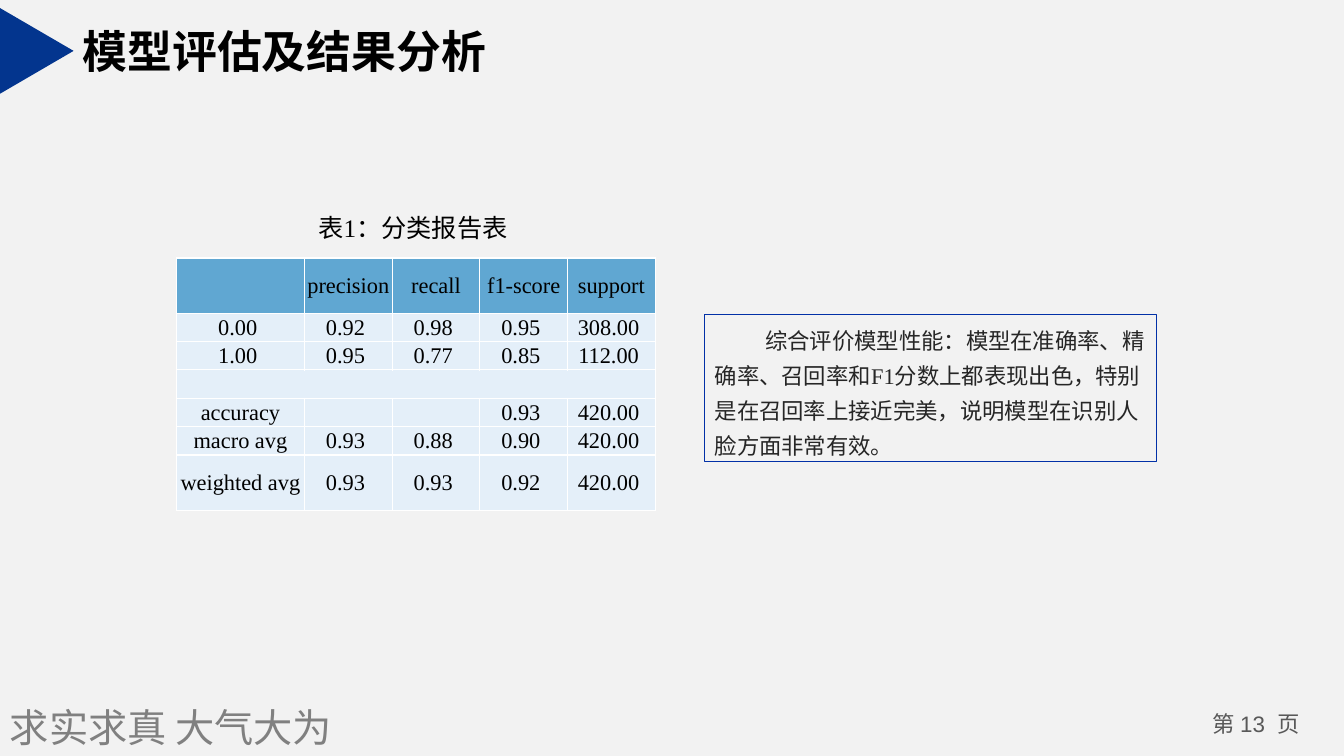
import pptx
import pptx.dml.color
import pptx.enum.shapes
import pptx.enum.text
import pptx.oxml
import pptx.oxml.ns
import pptx.util

Inches, Pt = pptx.util.Inches, pptx.util.Pt
ALIGN, ANCHOR = pptx.enum.text.PP_ALIGN, pptx.enum.text.MSO_ANCHOR

TITLE = "模型评估及结果分析"
CAPTION = "表1：分类报告表"
MOTTO = "求实求真 大气大为"
PAGE = "第 13  页"
COMMENT = ("综合评价模型性能：模型在准确率、精确率、召回率和F1分数上都表现出色，"
           "特别是在召回率上接近完美，说明模型在识别人脸方面非常有效。")
REPORT = [
    ("", "precision ", "recall", "f1-score", "support"),
    ("0.00 ", 0.92, 0.98, 0.95, 308),
    ("1.00 ", 0.95, 0.77, 0.85, 112),
    ("", "", "", "", ""),
    ("accuracy", "", "", 0.93, 420),
    ("macro avg", 0.93, 0.88, 0.90, 420),
    ("weighted avg", 0.93, 0.93, 0.92, 420),
]
GAP_ROW = 3
COL_WIDTHS = [1.27] + [0.87] * 4
ROW_HEIGHTS = [0.55] + [0.28] * 5 + [0.55]

COLORS = {
    "background": "F2F2F2", "triangle": "03358E", "frame": "0231A7",
    "header": "60A7D2", "body": "E4EFF9", "border": "FFFFFF",
    "black": "000000", "comment": "262626", "page": "595959", "motto": "808080",
}
CJK, SANS, SERIF = "Noto Sans CJK SC", "Arial", "Times New Roman"


def rgb(name):
    return pptx.dml.color.RGBColor.from_string(COLORS[name])


def add_xml(parent, xml):
    ns = pptx.oxml.ns.nsdecls("a")
    parent.append(pptx.oxml.parse_xml(xml.replace("/>", f" {ns}/>", 1)
                                      if xml.endswith("/>") and xml.count("<") == 1
                                      else xml.replace(">", f" {ns}>", 1)))


def write(tf, text, size=16, color="black", font=SERIF, bold=False,
          align=ALIGN.LEFT, anchor=ANCHOR.MIDDLE, wrap=True):
    tf.word_wrap = wrap
    tf.auto_size = pptx.enum.text.MSO_AUTO_SIZE.NONE
    tf.vertical_anchor = anchor
    p = tf.paragraphs[0]
    p.alignment = align
    r = p.add_run()
    r.text = text
    r.font.size, r.font.bold, r.font.name = Pt(size), bold, font
    r.font.color.rgb = rgb(color)
    add_xml(r.font._element, f'<a:ea typeface="{CJK}"/>')
    return p


def add_text(s, box, text, **fmt):
    sp = s.shapes.add_textbox(*map(Inches, box))
    write(sp.text_frame, text, **fmt)


def format_cell(cell, value, fill):
    cell.margin_left = cell.margin_right = cell.margin_top = Inches(0.01)
    cell.margin_bottom = 0
    cell.vertical_anchor = ANCHOR.MIDDLE
    p = cell.text_frame.paragraphs[0]
    p.alignment = ALIGN.CENTER
    if value == "":
        add_xml(p._p, '<a:endParaRPr sz="1600"/>')
    else:
        r = p.add_run()
        r.text = value if isinstance(value, str) else f"{value:.2f} "
        r.font.size, r.font.name = Pt(16), SERIF
        r.font.color.rgb = rgb("black")
    for side in ("lnL", "lnR", "lnT", "lnB"):
        add_xml(cell._tc.get_or_add_tcPr(),
                f'<a:{side} w="12700"><a:solidFill><a:srgbClr val="{COLORS["border"]}"/>'
                f'</a:solidFill></a:{side}>')
    cell.fill.solid()
    cell.fill.fore_color.rgb = rgb(fill)


def add_report(s, left, top):
    frame = s.shapes.add_table(len(REPORT), len(COL_WIDTHS), Inches(left), Inches(top),
                               Inches(sum(COL_WIDTHS)), Inches(sum(ROW_HEIGHTS)))
    table = frame.table
    table.first_row = table.horz_banding = False
    for col, width in zip(table.columns, COL_WIDTHS):
        col.width = Inches(width)
    for row, height in zip(table.rows, ROW_HEIGHTS):
        row.height = Inches(height)
    for i, values in enumerate(REPORT):
        for j, value in enumerate(values):
            format_cell(table.cell(i, j), value, "body" if i else "header")
    table.cell(GAP_ROW, 0).merge(table.cell(GAP_ROW, len(COL_WIDTHS) - 1))


def add_shape(s, kind, box):
    sp = s.shapes.add_shape(kind, *map(Inches, box))
    sp.shadow.inherit = False
    return sp


def main():
    shapes = pptx.enum.shapes.MSO_SHAPE
    prs = pptx.Presentation()
    prs.slide_width, prs.slide_height = Inches(13.33), Inches(7.5)
    s = prs.slides.add_slide(prs.slide_layouts[5])
    s.background.fill.solid()
    s.background.fill.fore_color.rgb = rgb("background")

    title = s.shapes.title
    title.left, title.top, title.width, title.height = map(Inches, (0.69, 0.17, 4.31, 0.67))
    tf = title.text_frame
    tf.margin_left = tf.margin_right = Inches(0.13)
    tf.margin_top = tf.margin_bottom = Inches(0.07)
    write(tf, TITLE, size=32, font=SANS, bold=True, wrap=False)

    triangle = add_shape(s, shapes.ISOSCELES_TRIANGLE, (-0.06, 0.14, 0.85, 0.73))
    triangle.rotation = 90
    triangle.fill.solid()
    triangle.fill.fore_color.rgb = rgb("triangle")
    triangle.line.fill.background()

    add_text(s, (3.06, 2.06, 2.45, 0.4), CAPTION, size=18)
    add_report(s, 1.75, 2.56)

    comment = add_shape(s, shapes.RECTANGLE, (6.99, 3.12, 4.48, 1.46))
    comment.fill.background()
    comment.line.color.rgb = rgb("frame")
    comment.line.width = Pt(0.75)
    p = write(comment.text_frame, COMMENT, color="comment", anchor=ANCHOR.TOP)
    p.line_spacing = 1.3
    p._p.get_or_add_pPr().set("indent", str(Inches(0.5)))

    add_text(s, (0, 6.93, 3.94, 0.57), MOTTO, size=28, color="motto", font=CJK)
    add_text(s, (11.86, 6.98, 1.2, 0.4), PAGE, color="page", font=SANS, align=ALIGN.CENTER)
    prs.save("out.pptx")


if __name__ == "__main__":
    main()
